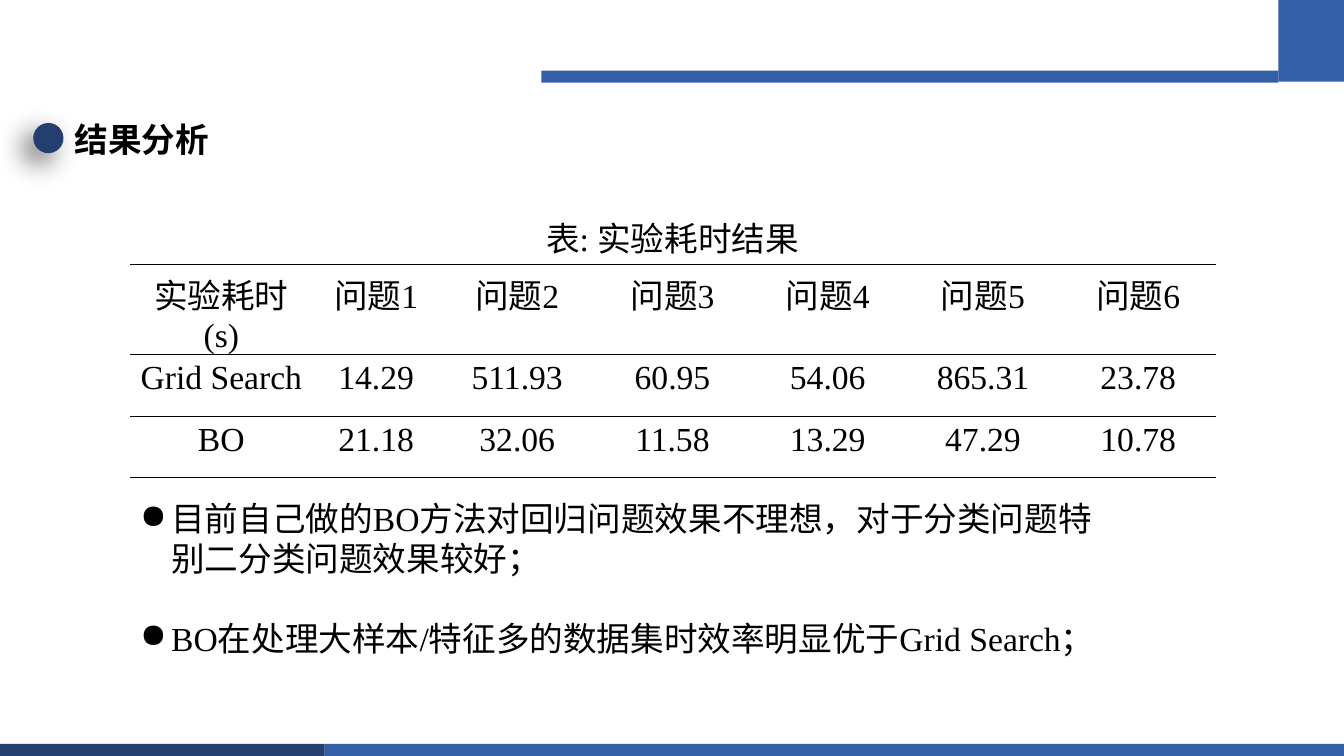
from lxml.etree import SubElement
from pptx import Presentation
from pptx.dml.color import RGBColor
from pptx.enum.shapes import MSO_SHAPE
from pptx.enum.text import MSO_AUTO_SIZE, PP_ALIGN
from pptx.oxml.ns import qn
from pptx.util import Inches, Pt

BLUE = RGBColor(0x35, 0x5E, 0xA9)
NAVY = RGBColor(0x23, 0x3E, 0x6F)
BLACK = RGBColor(0, 0, 0)
SERIF = "Times New Roman"
SANS = "Noto Sans CJK SC"
PLAIN_TABLE = "{2D5ABB26-0587-4C30-8999-92F81FD0307C}"

BARS = [
    (5.37, 0.7, 7.31, 0.12, BLUE),
    (12.68, 0, 0.65, 0.81, BLUE),
    (3.22, 7.38, 10.12, 0.12, BLUE),
    (0, 7.38, 3.22, 0.12, NAVY),
]
TIMES = [
    ["实验耗时(s)"] + [f"问题{i}" for i in range(1, 7)],
    ["Grid Search", "14.29", "511.93", "60.95", "54.06", "865.31", "23.78"],
    ["BO", "21.18", "32.06", "11.58", "13.29", "47.29", "10.78"],
]
COL_WIDTHS = [1.81, 1.26] + [1.54] * 5
ROW_HEIGHT = 0.61
FINDINGS = [
    "目前自己做的BO方法对回归问题效果不理想，对于分类问题特别二分类问题效果较好；",
    "BO在处理大样本/特征多的数据集时效率明显优于Grid Search；",
]


def add_solid(slide, kind, x, y, w, h, color):
    sp = slide.shapes.add_shape(kind, Inches(x), Inches(y), Inches(w), Inches(h))
    sp.fill.solid()
    sp.fill.fore_color.rgb = color
    sp.line.fill.background()
    sp.shadow.inherit = False
    return sp


def add_drop_shadow(sp):
    effects = sp._element.spPr.find(qn("a:effectLst"))
    shadow = SubElement(effects, qn("a:outerShdw"), blurRad=str(Pt(20)),
                        dist=str(Pt(10)), dir=str(135 * 60000),
                        algn="tr", rotWithShape="0")
    color = SubElement(shadow, qn("a:srgbClr"), val=str(BLACK))
    SubElement(color, qn("a:alpha"), val="60000")


def write(p, text, font=SERIF, bold=False, align=PP_ALIGN.CENTER):
    p.text = text
    p.alignment = align
    for r in p.runs:
        r.font.size = Pt(24)
        r.font.name = font
        r.font.bold = bold
        r.font.color.rgb = BLACK
        SubElement(r.font._element, qn("a:ea"), typeface=SANS)


def add_text_frame(slide, x, y, w, h, wrap=True):
    box = slide.shapes.add_textbox(Inches(x), Inches(y), Inches(w), Inches(h))
    tf = box.text_frame
    tf.word_wrap = wrap
    tf.auto_size = MSO_AUTO_SIZE.SHAPE_TO_FIT_TEXT
    return tf


def add_bullet(p):
    pPr = p._p.get_or_add_pPr()
    pPr.set("marL", str(Inches(0.31)))
    pPr.set("indent", str(-Inches(0.31)))
    SubElement(pPr, qn("a:buChar"), char="●")


def add_rules(cell):
    tcPr = cell._tc.get_or_add_tcPr()
    for side in ("a:lnT", "a:lnB"):
        ln = SubElement(tcPr, qn(side), w=str(Pt(1)))
        fill = SubElement(ln, qn("a:solidFill"))
        SubElement(fill, qn("a:srgbClr"), val=str(BLACK))


def add_times_table(slide, x, y):
    frame = slide.shapes.add_table(
        len(TIMES), len(COL_WIDTHS), Inches(x), Inches(y),
        Inches(sum(COL_WIDTHS)), Inches(ROW_HEIGHT * len(TIMES)))
    table = frame.table
    table.first_row = table.horz_banding = False
    table._tbl.tblPr.find(qn("a:tableStyleId")).text = PLAIN_TABLE
    for col, width in zip(table.columns, COL_WIDTHS):
        col.width = Inches(width)
    for row, values in zip(table.rows, TIMES):
        row.height = Inches(ROW_HEIGHT)
        for cell, value in zip(row.cells, values):
            write(cell.text_frame.paragraphs[0], value)
            add_rules(cell)
            cell.fill.background()


def add_findings(slide, x, y, w, h):
    tf = add_text_frame(slide, x, y, w, h)
    for i, text in enumerate(FINDINGS):
        p = tf.add_paragraph() if i else tf.paragraphs[0]
        write(p, text, align=PP_ALIGN.LEFT)
        if i:
            p.space_before = Pt(28)
        add_bullet(p)


def main():
    prs = Presentation()
    prs.slide_width, prs.slide_height = Inches(13.33), Inches(7.5)
    slide = prs.slides.add_slide(prs.slide_layouts[6])

    # Frame bars
    for bar in BARS:
        add_solid(slide, MSO_SHAPE.RECTANGLE, *bar)

    # Heading with its dot
    dot = add_solid(slide, MSO_SHAPE.OVAL, 0.33, 1.22, 0.3, 0.3, NAVY)
    add_drop_shadow(dot)
    heading = add_text_frame(slide, 0.63, 1.13, 1.55, 0.5, wrap=False)
    write(heading.paragraphs[0], "结果分析", SANS, bold=True)

    # Table and caption
    add_times_table(slide, 1.29, 2.62)
    caption = add_text_frame(slide, 3.98, 2.11, 5.38, 0.5)
    write(caption.paragraphs[0], "表: 实验耗时结果")

    # Findings
    add_findings(slide, 1.29, 4.89, 9.92, 1.72)

    prs.save("out.pptx")


if __name__ == "__main__":
    main()
